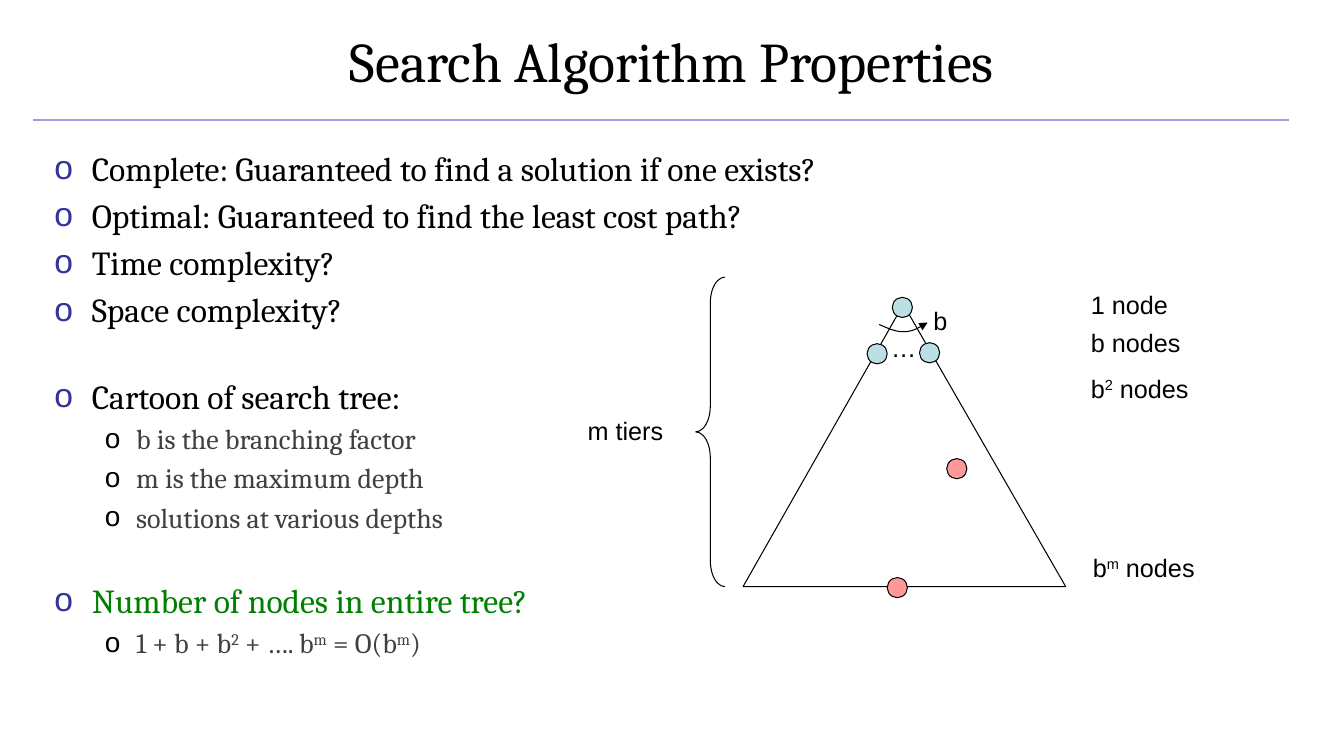
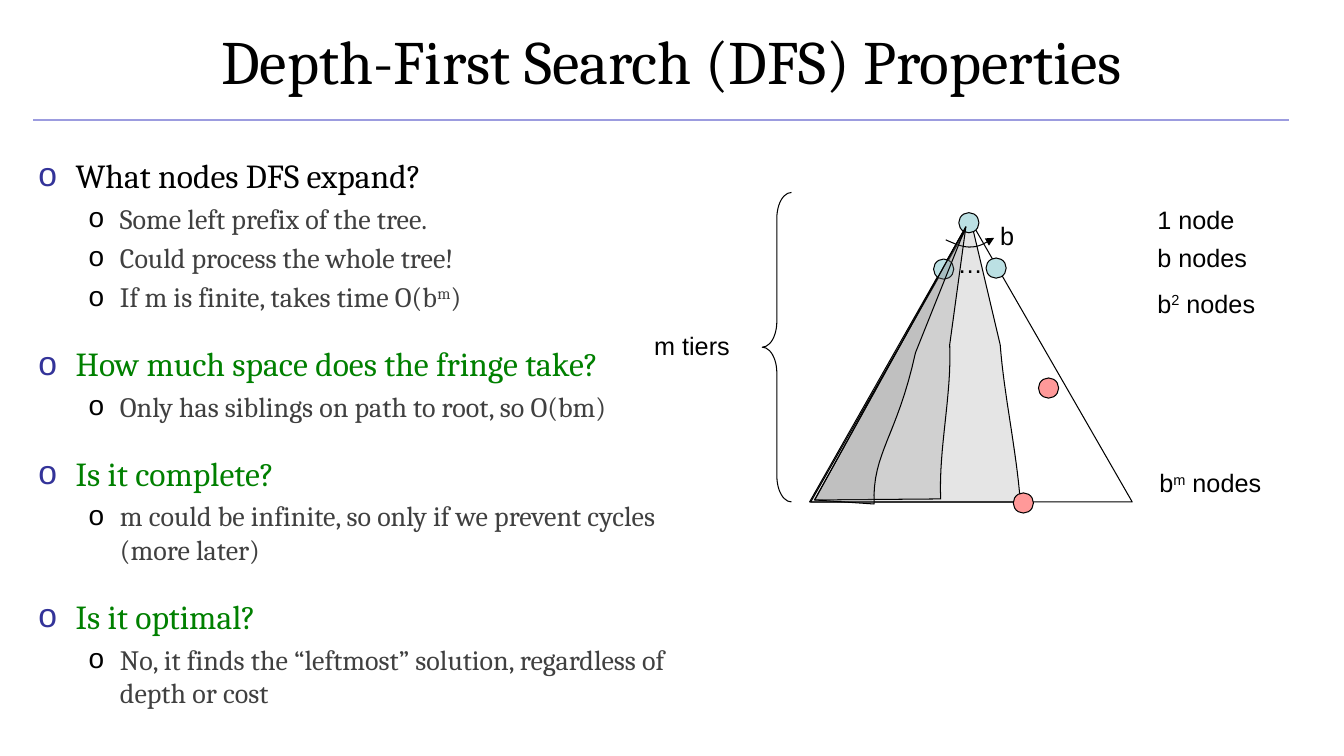
from lxml import etree
from pptx import Presentation
from pptx import util as u
from pptx.dml.color import RGBColor
from pptx.enum import shapes, text
from pptx.oxml import parse_xml
from pptx.oxml.ns import qn

BLACK = RGBColor(0x00, 0x00, 0x00)
GREEN = RGBColor(0x00, 0x80, 0x00)
RULE = RGBColor(0x9C, 0x9C, 0xDF)
NODE = RGBColor(0xBB, 0xE0, 0xE3)
GOAL = RGBColor(0xFF, 0x99, 0x99)
SHADE = RGBColor(0x80, 0x80, 0x80)
BULLET = RGBColor(0x33, 0x33, 0x99)
DETAIL = RGBColor(0x40, 0x40, 0x40)

NODE_SIZE = 0.2
CURVE_STEPS = 16
SHADE_ALPHA = "20000"


def write(paragraph, words):
    """Add the words as runs; parts between carets are superscript."""
    for i, part in enumerate(words.split("^")):
        run = paragraph.add_run()
        run.text = part
        if i % 2:
            run.font._element.set("baseline", "30000")


def outline(slide, start, steps, closed=True):
    """Draw a path of (x, y) lines and (x1, y1, x2, y2, x, y) Bezier curves."""
    points = [start]
    for step in steps:
        if len(step) == 2:
            points.append(step)
            continue
        bends = [points[-1], step[:2], step[2:4], step[4:]]
        for n in range(1, CURVE_STEPS + 1):
            t = n / CURVE_STEPS
            weights = ((1 - t) ** 3, 3 * t * (1 - t) ** 2, 3 * t * t * (1 - t), t ** 3)
            points.append(tuple(sum(w * bend[axis] for w, bend in zip(weights, bends))
                                for axis in (0, 1)))
    first, *rest = [(u.Inches(x), u.Inches(y)) for x, y in points]
    builder = slide.shapes.build_freeform(*first)
    builder.add_line_segments(rest, close=closed)
    return builder.convert_to_shape()


DECK = [
    {
        "title": "Search Algorithm Properties", "title_size": 40,
        "body": (0.44, 1.42, 12.44, 5.17), "gap": 33,
        # level, text, colour (None keeps the style), whether a gap comes before
        "points": [
            (0, "Complete: Guaranteed to find a solution if one exists?", None, False),
            (0, "Optimal: Guaranteed to find the least cost path?", None, False),
            (0, "Time complexity?", None, False),
            (0, "Space complexity?", None, False),
            (0, "Cartoon of search tree:", None, True),
            (1, "b is the branching factor", None, False),
            (1, "m is the maximum depth", None, False),
            (1, "solutions at various depths", None, False),
            (0, "Number of nodes in entire tree?", GREEN, True),
            (1, "1 + b + b^2^ + …. b^m^ = O(b^m^)", None, False),
        ],
        "tree_shift": (0, 0),
        "goals": [(8.8, 5.73), (9.39, 4.55)],
        "shades_behind": [], "shades_in_front": [],
    },
    {
        "title": "Depth-First Search (DFS) Properties", "title_size": 44,
        "body": (0.28, 1.49, 6.52, 5.17), "gap": 21.5,
        "points": [
            (0, "What nodes DFS expand?", None, False),
            (1, "Some left prefix of the tree.", None, False),
            (1, "Could process the whole tree!", None, False),
            (1, "If m is finite, takes time O(b^m^)", None, False),
            (0, "How much space does the fringe take?", GREEN, True),
            (1, "Only has siblings on path to root, so O(bm)", None, False),
            (0, "Is it complete?", GREEN, True),
            (1, "m could be infinite, so only if we prevent cycles (more later)", None, False),
            (0, "Is it optimal?", GREEN, True),
            (1, "No, it finds the “leftmost” solution, regardless of depth or cost", None, False),
        ],
        "tree_shift": (0.66, -0.84),
        "goals": [(10.05, 4.89), (10.3, 3.75)],
        "shades_behind": [
            ((8.04, 4.98), [(10.12, 4.98), (10.08, 4.46, 9.96, 3.93, 9.92, 3.42), (9.63, 2.19)]),
        ],
        "shades_in_front": [
            ((8.08, 4.96), [(9.33, 4.95), (9.31, 4.44, 9.44, 3.93, 9.42, 3.42), (9.58, 2.25)]),
            ((8.08, 4.96), [(8.67, 5), (8.65, 4.49, 8.9, 4.33, 9.08, 3.5), (9.58, 2.25)]),
        ],
    },
]

TREE_NODES = [(8.85, 2.95), (8.6, 3.41), (9.12, 3.4)]
TREE_LABELS = [
    ("…", 8.74, 3.25, 0.3),
    ("b", 9.16, 2.98, 0.33),
    ("1 node", 10.72, 2.82, 1.22),
    ("b nodes", 10.72, 3.2, 1.22),
    ("b^2^ nodes", 10.72, 3.65, 1.22),
    ("b^m^ nodes", 10.74, 5.43, 1.6),
    ("m tiers", 5.73, 4.07, 1.38),
]

prs = Presentation()
prs.slide_width, prs.slide_height = u.Inches(13.33), u.Inches(7.5)
layout = prs.slide_layouts[1]

# Shared text styles
styles = prs.slide_master.element.find(qn("p:txStyles"))
body_style = styles.find(qn("p:bodyStyle"))
for level, margin, indent, bullet, size, colour in [
    (1, 0.37, -0.37, BULLET, 24, BLACK),
    (2, 0.81, -0.31, BLACK, 20, DETAIL),
]:
    old_level = body_style.find(qn(f"a:lvl{level}pPr"))
    body_style.replace(old_level, parse_xml(
        f'<a:lvl{level}pPr xmlns:a="http://schemas.openxmlformats.org/drawingml/2006/main"'
        f' marL="{u.Inches(margin)}" indent="{u.Inches(indent)}" algn="l">'
        f'<a:spcBef><a:spcPct val="20000"/></a:spcBef>'
        f'<a:buClr><a:srgbClr val="{bullet}"/></a:buClr>'
        f'<a:buFont typeface="Arial"/><a:buChar char="o"/>'
        f'<a:defRPr sz="{size * 100}"><a:solidFill><a:srgbClr val="{colour}"/></a:solidFill>'
        f'<a:latin typeface="Cambria"/></a:defRPr></a:lvl{level}pPr>'))

# Shared title place
layout_title = layout.placeholders[0]
layout_title.left, layout_title.top = u.Inches(0), u.Inches(-0.03)
layout_title.width, layout_title.height = prs.slide_width, u.Inches(1.25)

for page in DECK:
    slide = prs.slides.add_slide(layout)

    # The rule under the title goes on the layout, once
    if page is DECK[0]:
        rule = slide.shapes.add_connector(
            shapes.MSO_CONNECTOR.STRAIGHT,
            u.Inches(0.33), u.Inches(1.19), u.Inches(12.78), u.Inches(1.19))
        rule.line.color.rgb = RULE
        rule.line.width = u.Pt(1)
        etree.SubElement(rule.element.spPr, qn("a:effectLst"))
        layout.shapes.element.append(rule.element)

    title = slide.shapes.title
    title.text_frame.text = page["title"]
    title.text_frame.auto_size = text.MSO_AUTO_SIZE.NONE
    title_font = title.text_frame.paragraphs[0].font
    title_font.name, title_font.size = "Cambria", u.Pt(page["title_size"])
    title_font.color.rgb = BLACK

    body = slide.placeholders[1]
    body.left, body.top, body.width, body.height = map(u.Inches, page["body"])
    frame = body.text_frame
    frame.auto_size = text.MSO_AUTO_SIZE.NONE
    for i, (level, words, colour, gap_before) in enumerate(page["points"]):
        point = frame.add_paragraph() if i else frame.paragraphs[0]
        point.level = level
        if i == 0:
            point.space_before = u.Pt(0)
        elif gap_before:
            point.space_before = u.Pt(page["gap"])
        write(point, words)
        if colour is not None:
            for run in point.runs:
                run.font.color.rgb = colour

    # Search tree
    dx, dy = page["tree_shift"]
    painted = [(outline(slide, *shade), SHADE) for shade in page["shades_behind"]]
    triangle = outline(slide, (7.37 + dx, 5.82 + dy),
                       [(10.57 + dx, 5.82 + dy), (8.96 + dx, 3.02 + dy)])
    painted.append((triangle, None))

    circles = [(x + dx, y + dy, NODE) for x, y in TREE_NODES]
    circles += [(x, y, GOAL) for x, y in page["goals"]]
    for x, y, colour in circles:
        circle = slide.shapes.add_shape(
            shapes.MSO_SHAPE.OVAL, u.Inches(x), u.Inches(y),
            u.Inches(NODE_SIZE), u.Inches(NODE_SIZE))
        painted.append((circle, colour))

    branching = outline(
        slide, (8.72 + dx, 3.22 + dy),
        [(8.81 + dx, 3.26 + dy, 8.9 + dx, 3.3 + dy, 8.98 + dx, 3.29 + dy),
         (9.06 + dx, 3.29 + dy, 9.13 + dx, 3.24 + dy, 9.2 + dx, 3.2 + dy)],
        closed=False)
    painted.append((branching, None))

    tiers = slide.shapes.add_shape(
        shapes.MSO_SHAPE.LEFT_BRACE, u.Inches(6.9 + dx), u.Inches(2.75 + dy),
        u.Inches(0.29), u.Inches(3.07))
    tiers.adjustments[0] = 0.884
    painted.append((tiers, None))

    for words, x, y, width in TREE_LABELS:
        label = slide.shapes.add_textbox(
            u.Inches(x + dx), u.Inches(y + dy), u.Inches(width), u.Inches(0.4))
        label.text_frame.word_wrap = True
        line = label.text_frame.paragraphs[0]
        write(line, words)
        line.font.name, line.font.size = "Arial", u.Pt(18)
        line.font.color.rgb = BLACK

    painted += [(outline(slide, *shade), SHADE) for shade in page["shades_in_front"]]

    for shape, fill in painted:
        shape.shadow.inherit = False
        shape.line.color.rgb = BLACK
        shape.line.width = u.Pt(0.75)
        if fill is None:
            shape.fill.background()
            continue
        shape.fill.solid()
        shape.fill.fore_color.rgb = fill
        if fill == SHADE:
            shade_colour = shape.element.spPr.find(qn("a:solidFill")).find(qn("a:srgbClr"))
            etree.SubElement(shade_colour, qn("a:alpha"), val=SHADE_ALPHA)

    etree.SubElement(branching.element.spPr.find(qn("a:ln")), qn("a:tailEnd"), type="triangle")

prs.save("out.pptx")
